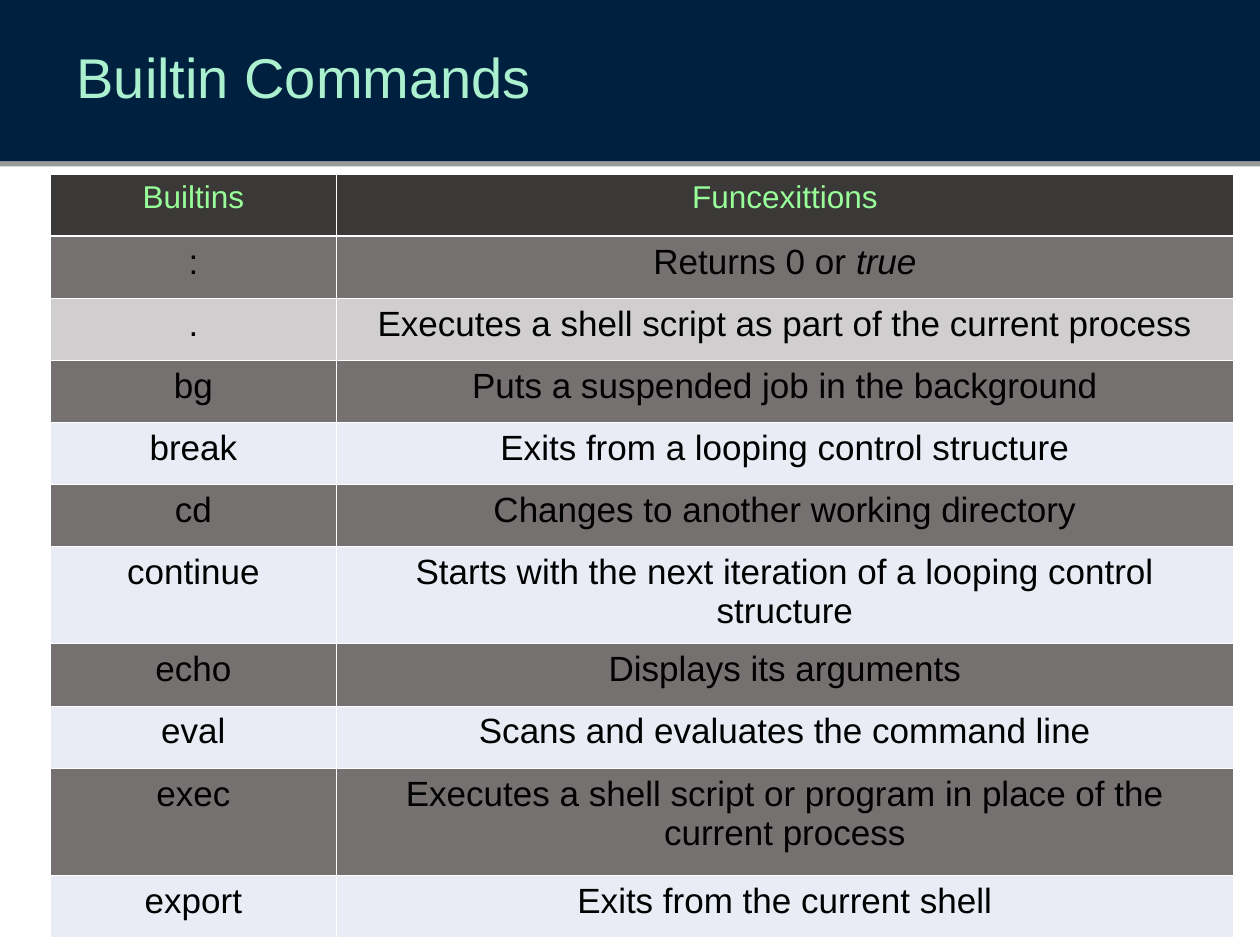
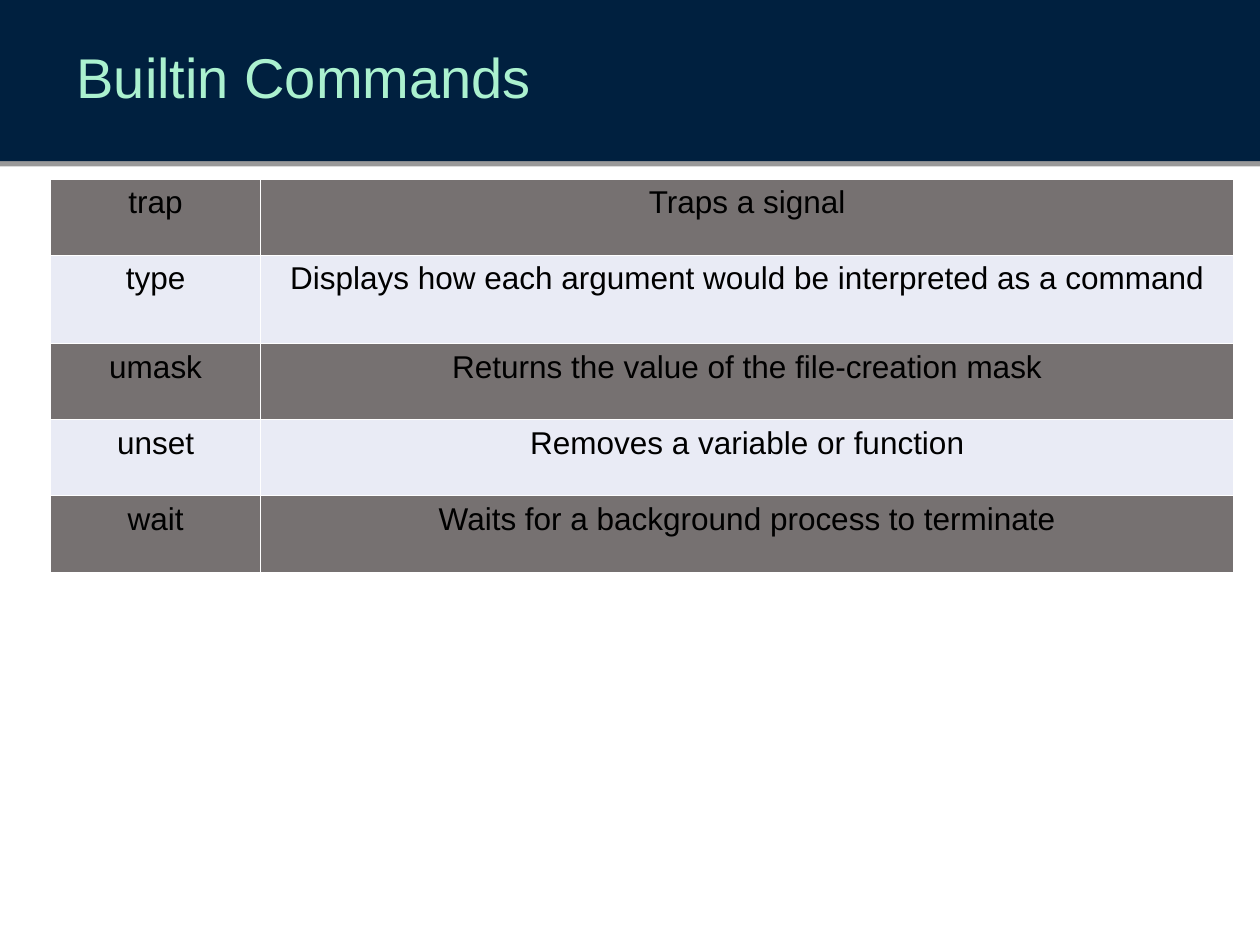
from dataclasses import dataclass, field

from lxml import etree
from pptx import Presentation
from pptx import util as u
from pptx.dml.color import RGBColor
from pptx.enum import shapes, text
from pptx.oxml import ns

COLOURS = {
    "band": "00203F",
    "title": "ABF1CF",
    "shadow": "000000",
    "header": "3B3838",
    "header_text": "99FF99",
    "dark": "767171",
    "grey": "D0CECE",
    "light": "E9EBF5",
    "text": "000000",
    "border": "FFFFFF",
}
FONT = "Arial"
TITLE = "Builtin Commands"
SLIDE_WIDTH, SLIDE_HEIGHT = 10, 7.5
BAND_HEIGHT = 1.28
TITLE_LEFT = 0.51
TABLE_LEFT, TABLE_WIDTH = 0.4, 9.39
THIN, THICK = 0.45, 1.47


@dataclass
class Command:
    name: str
    function: str
    italic_end: str = ""
    height: float | None = None  # None shares the remaining table height
    fill: str | None = None      # None alternates dark and light


@dataclass
class CommandTable:
    top: float
    height: float
    name_width: float
    size: int
    commands: list[Command]
    header: list[Command] = field(default_factory=list)


TABLES = [
    CommandTable(
        top=1.38, height=6.06, name_width=2.27, size=20,
        header=[Command("Builtins", "Funcexittions", fill="header")],
        commands=[
            Command(":", "Returns 0 or ", italic_end="true"),
            Command(".", "Executes a shell script as part of the current process", fill="grey"),
            Command("bg", "Puts a suspended job in the background"),
            Command("break", "Exits from a looping control structure"),
            Command("cd", "Changes to another working directory"),
            Command("continue", "Starts with the next iteration of a looping control structure",
                    height=0.77),
            Command("echo", "Displays its arguments"),
            Command("eval", "Scans and evaluates the command line"),
            Command("exec", "Executes a shell script or program in place of the current process",
                    height=0.85),
            Command("export", "Exits from the current shell"),
        ],
    ),
    CommandTable(
        top=1.42, height=3.12, name_width=1.67, size=18,
        commands=[
            Command("trap", "Traps a signal"),
            Command("type", "Displays how each argument would be interpreted as a command",
                    height=0.7),
            Command("umask", "Returns the value of the file-creation mask"),
            Command("unset", "Removes a variable or function"),
            Command("wait", "Waits for a background process to terminate"),
        ],
    ),
]


def rgb(name: str) -> RGBColor:
    return RGBColor.from_string(COLOURS[name])


def add_run(paragraph, words: str, size: int, colour: str, italic: bool = False) -> None:
    run = paragraph.add_run()
    run.text = words
    font_format = {"name": FONT, "size": u.Pt(size), "bold": False, "italic": italic}
    for attribute, value in font_format.items():
        setattr(run.font, attribute, value)
    run.font.color.rgb = rgb(colour)


def add_colour(parent, name: str):
    return etree.SubElement(parent, ns.qn("a:srgbClr"), val=COLOURS[name])


def add_band(slide) -> None:
    shape = slide.shapes.add_shape(
        shapes.MSO_SHAPE.RECTANGLE, 0, 0, u.Inches(SLIDE_WIDTH), u.Inches(BAND_HEIGHT))
    shape.fill.solid()
    shape.fill.fore_color.rgb = rgb("band")
    shape.line.fill.background()
    # Hard grey edge under the band
    shape.shadow.inherit = False
    effects = shape.element.spPr.find(ns.qn("a:effectLst"))
    shadow = etree.SubElement(effects, ns.qn("a:outerShdw"), blurRad="0",
                              dist=str(u.Pt(3)), dir="5400000", rotWithShape="0")
    etree.SubElement(add_colour(shadow, "shadow"), ns.qn("a:alpha"), val="40000")


def add_title(slide) -> None:
    shape = slide.shapes.add_textbox(
        u.Inches(TITLE_LEFT), 0, u.Inches(SLIDE_WIDTH - TITLE_LEFT), u.Inches(BAND_HEIGHT))
    frame = shape.text_frame
    frame.word_wrap = True
    frame.vertical_anchor = text.MSO_ANCHOR.MIDDLE
    paragraph = frame.paragraphs[0]
    paragraph.line_spacing = 0.9
    paragraph.space_after = u.Pt(6)
    add_run(paragraph, TITLE, 32, "title")


def add_borders(cell, top: float, bottom: float) -> None:
    properties = cell._tc.get_or_add_tcPr()
    for side, width in {"L": THIN, "R": THIN, "T": top, "B": bottom}.items():
        line = etree.SubElement(properties, ns.qn(f"a:ln{side}"), w=str(u.Pt(width)))
        add_colour(etree.SubElement(line, ns.qn("a:solidFill")), "border")


def add_command_table(slide, spec_table: CommandTable) -> None:
    rows = spec_table.header + spec_table.commands
    header_count = len(spec_table.header)
    fixed = [row.height for row in rows if row.height]
    shared_height = (spec_table.height - sum(fixed)) / (len(rows) - len(fixed))

    table = slide.shapes.add_table(
        len(rows), 2, u.Inches(TABLE_LEFT), u.Inches(spec_table.top),
        u.Inches(TABLE_WIDTH), u.Inches(spec_table.height)).table
    table.first_row = table.horz_banding = False
    table.columns[0].width = u.Inches(spec_table.name_width)
    table.columns[1].width = u.Inches(TABLE_WIDTH - spec_table.name_width)

    for index, row in enumerate(rows):
        table.rows[index].height = u.Inches(row.height or shared_height)
        is_header = index < header_count
        band = "light" if (index - header_count) % 2 else "dark"
        size, colour = (18, "header_text") if is_header else (spec_table.size, "text")
        top = THICK if header_count and index == header_count else THIN
        for column, words in enumerate((row.name, row.function)):
            cell = table.cell(index, column)
            add_borders(cell, top, THICK if is_header else THIN)
            cell.fill.solid()
            cell.fill.fore_color.rgb = rgb(row.fill or band)
            paragraph = cell.text_frame.paragraphs[0]
            paragraph.alignment = text.PP_ALIGN.CENTER
            add_run(paragraph, words, size, colour)
            if column == 1 and row.italic_end:
                add_run(paragraph, row.italic_end, size, colour, italic=True)


def main() -> None:
    presentation = Presentation()
    presentation.slide_width = u.Inches(SLIDE_WIDTH)
    presentation.slide_height = u.Inches(SLIDE_HEIGHT)
    for command_table in TABLES:
        slide = presentation.slides.add_slide(presentation.slide_layouts[6])
        add_band(slide)
        add_title(slide)
        add_command_table(slide, command_table)
    presentation.save("out.pptx")


if __name__ == "__main__":
    main()
